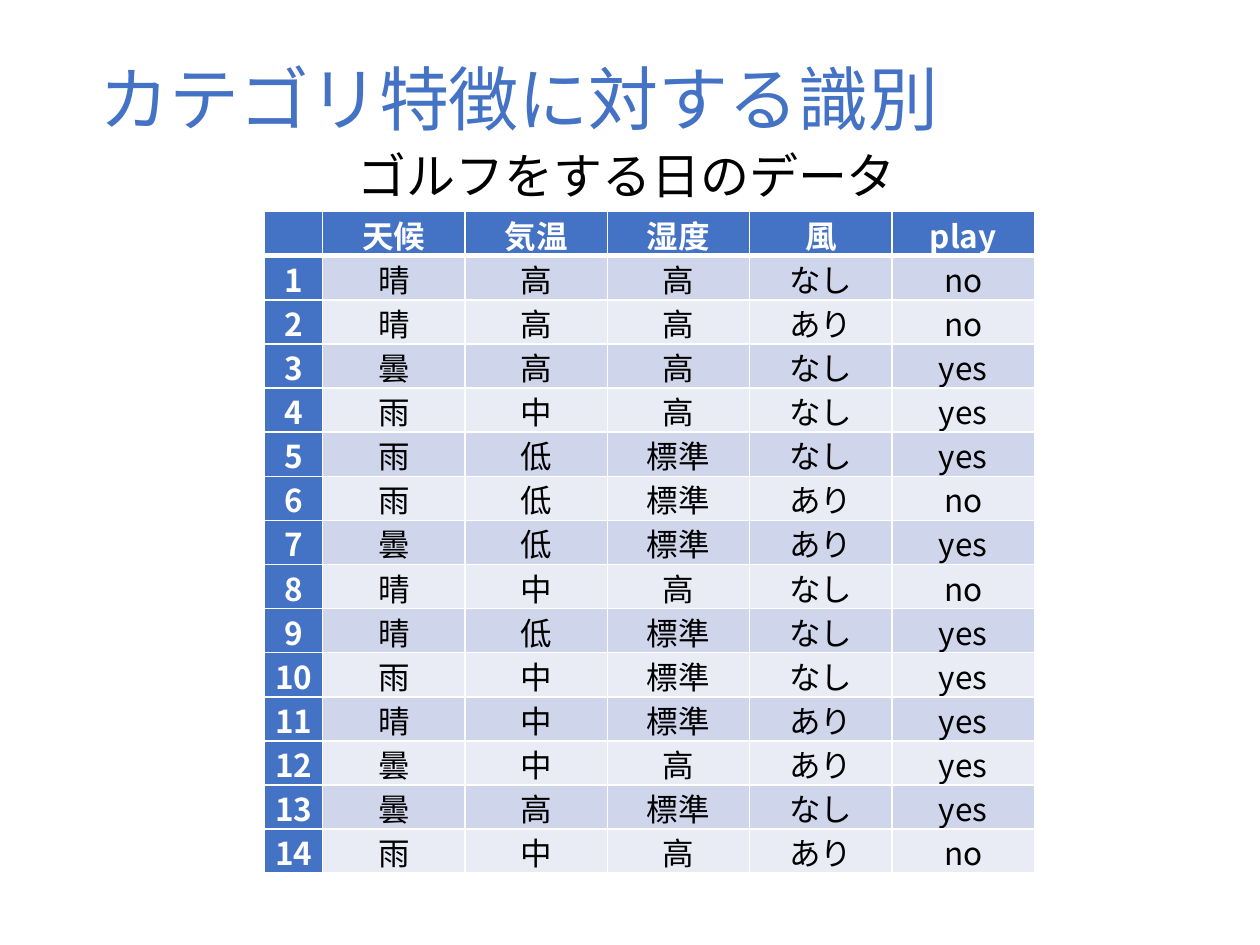
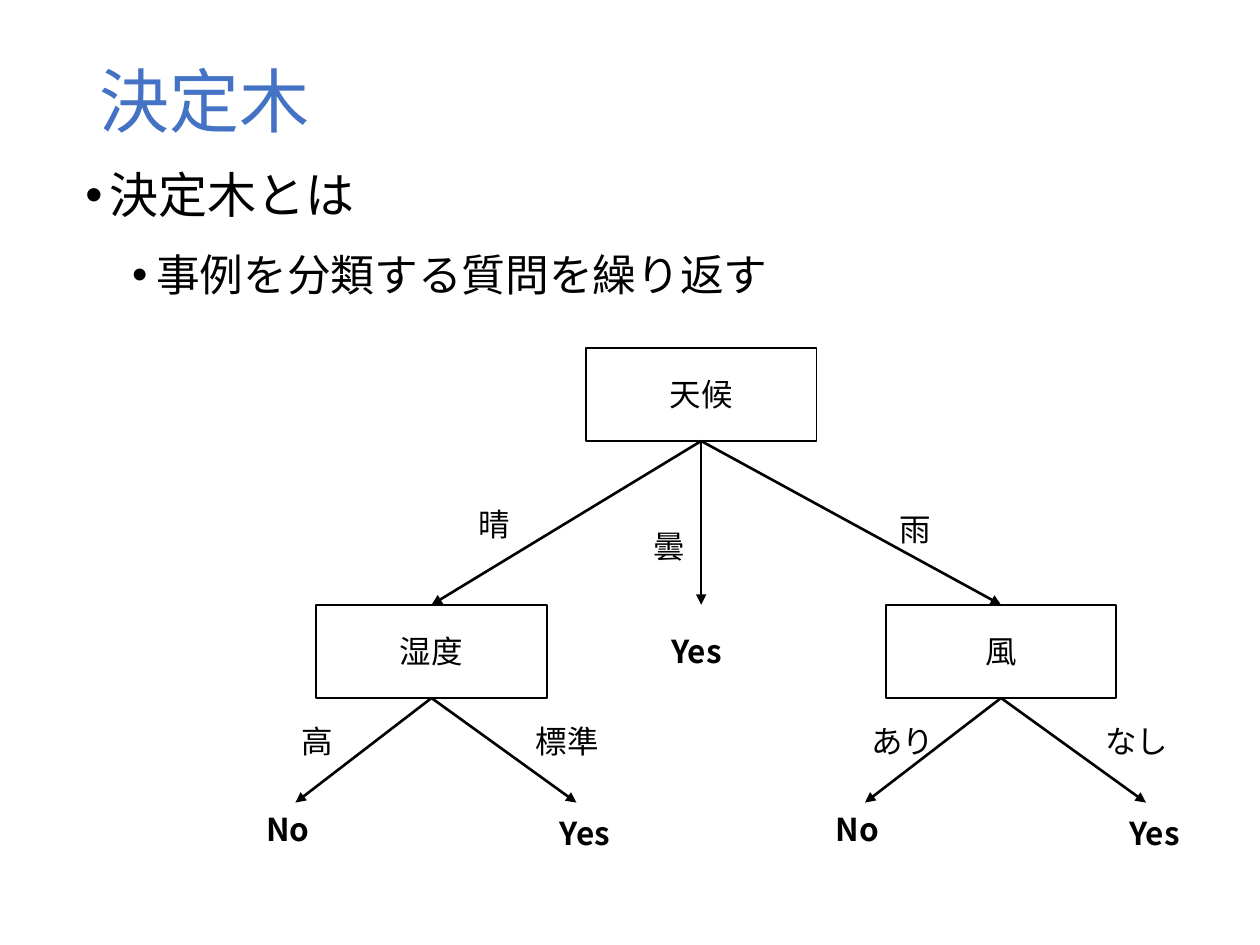
from lxml import etree
from pptx import Presentation
from pptx.dml.color import RGBColor
from pptx.enum import shapes, text
from pptx.oxml import ns
from pptx.util import Inches, Pt

FONT = "Noto Sans CJK JP"
COLORS = {
    "accent": "4472C4",
    "ink": "000000",
    "paper": "FFFFFF",
    "odd_row": "CFD5EA",
    "even_row": "E9EBF5",
}
CENTER = text.PP_ALIGN.CENTER
MIDDLE = text.MSO_ANCHOR.MIDDLE

HEADINGS = ["", "天候", "気温", "湿度", "風", "play"]
GOLF_DAYS = """
晴 高 高 なし no
晴 高 高 あり no
曇 高 高 なし yes
雨 中 高 なし yes
雨 低 標準 なし yes
雨 低 標準 あり no
曇 低 標準 あり yes
晴 中 高 なし no
晴 低 標準 なし yes
雨 中 標準 なし yes
晴 中 標準 あり yes
曇 中 高 あり yes
曇 高 標準 なし yes
雨 中 高 あり no
"""

NODE_W, NODE_H = 1.83, 0.74


def rgb(color):
    return RGBColor.from_string(COLORS[color])


def add_xml(parent, tag, **attributes):
    return etree.SubElement(parent, ns.qn(tag), attributes)


def write(paragraph, words, size=18, color="ink", bold=False, align=None,
          line_spacing=None):
    paragraph.alignment = align
    paragraph.line_spacing = line_spacing
    run = paragraph.add_run()
    run.text = words
    font = run.font
    font.name, font.size, font.bold = FONT, Pt(size), bold
    font.color.rgb = rgb(color)
    add_xml(run._r.get_or_add_rPr(), "a:ea", typeface=FONT)


def add_text_box(slide, box, anchor=text.MSO_ANCHOR.TOP, wrap=True):
    frame = slide.shapes.add_textbox(*map(Inches, box)).text_frame
    frame.word_wrap = wrap
    frame.vertical_anchor = anchor
    if not wrap:
        frame.auto_size = text.MSO_AUTO_SIZE.SHAPE_TO_FIT_TEXT
    return frame


def add_title(slide, words, height):
    frame = add_text_box(slide, (0.69, 0.4, 8.62, height), MIDDLE)
    write(frame.paragraphs[0], words, size=40, color="accent", line_spacing=0.9)


def add_label(slide, words, left, top, width, height=0.4,
              anchor=text.MSO_ANCHOR.TOP, **style):
    frame = add_text_box(slide, (left, top, width, height), anchor, wrap=False)
    write(frame.paragraphs[0], words, **style)


def set_borders(cell, **widths):
    """Draw white borders; widths in points by side (L, R, T, B), 1 by default."""
    properties = cell._tc.get_or_add_tcPr()
    for position, side in enumerate("LRTB"):
        line = etree.Element(ns.qn(f"a:ln{side}"), w=str(Pt(widths.get(side, 1))))
        add_xml(add_xml(line, "a:solidFill"), "a:srgbClr", val=COLORS["paper"])
        properties.insert(position, line)


def add_golf_table(slide, left, top):
    days = [line.split() for line in GOLF_DAYS.split("\n") if line]
    rows = [HEADINGS] + [[str(n), *day] for n, day in enumerate(days, 1)]
    widths = [0.46] + [1.13] * 5
    row_height = 0.35
    table = slide.shapes.add_table(
        len(rows), len(widths), Inches(left), Inches(top),
        Inches(sum(widths)), Inches(row_height * len(rows))).table
    for column, width in zip(table.columns, widths):
        column.width = Inches(width)
    for r, row in enumerate(rows):
        table.rows[r].height = Inches(row_height)
        for c, words in enumerate(row):
            cell = table.cell(r, c)
            heading = r == 0 or c == 0
            band = "odd_row" if r % 2 else "even_row"
            cell.margin_left = cell.margin_right = Inches(0.07)
            cell.margin_top = cell.margin_bottom = 0
            cell.fill.solid()
            cell.fill.fore_color.rgb = rgb("accent" if heading else band)
            set_borders(cell, B=3 if r == 0 else 1, T=3 if r == 1 else 1)
            if words:
                write(cell.text_frame.paragraphs[0], words, bold=heading,
                      color="paper" if heading else "ink", align=CENTER)


def add_bullets(slide, box, items):
    """Items are (words, size, indent in inches, space before in points)."""
    frame = add_text_box(slide, box)
    for level, (words, size, indent, before) in enumerate(items):
        paragraph = frame.add_paragraph() if level else frame.paragraphs[0]
        paragraph.level = level
        paragraph.space_before = Pt(before)
        write(paragraph, words, size=size, line_spacing=Pt(40))
        properties = paragraph._p.get_or_add_pPr()
        properties.set("marL", str(Inches(indent)))
        properties.set("indent", str(Inches(-0.19)))
        add_xml(properties, "a:buFont", typeface="Arial")
        add_xml(properties, "a:buChar", char="•")


def add_node(slide, words, left, top):
    node = slide.shapes.add_shape(
        shapes.MSO_SHAPE.RECTANGLE,
        *map(Inches, (left, top, NODE_W, NODE_H)))
    node.shadow.inherit = False
    node.fill.background()
    node.line.color.rgb = rgb("ink")
    node.line.width = Pt(1)
    node.text_frame.vertical_anchor = MIDDLE
    write(node.text_frame.paragraphs[0], words, align=CENTER)
    return node


def add_branch(slide, parent, child=None, end=(0, 0)):
    """Arrow from the parent's bottom to the child's top, or to a free end."""
    arrow = slide.shapes.add_connector(
        shapes.MSO_CONNECTOR.STRAIGHT, 0, 0, *map(Inches, end))
    arrow.begin_connect(parent, 2)
    if child is not None:
        arrow.end_connect(child, 0)
    arrow.line.color.rgb = rgb("ink")
    arrow.line.width = Pt(1.5)
    add_xml(arrow.line._get_or_add_ln(), "a:tailEnd", type="triangle")
    add_xml(arrow._element.spPr, "a:effectLst")


def add_subtree(slide, question, left, top, no_answer, no_width, yes_answer):
    """A question whose left answer leads to No and right answer to Yes."""
    node = add_node(slide, question, left, top)
    x, y = left + NODE_W / 2, top + NODE_H
    for dx in (-1.08, 1.15):
        add_branch(slide, node, end=(x + dx, y + 0.83))
    add_label(slide, no_answer, x - 1.13, y + 0.14, no_width)
    add_label(slide, yes_answer, x + 0.73, y + 0.14, 0.71)
    add_label(slide, "No", x - 1.41, y + 0.84, 0.55, bold=True)
    add_label(slide, "Yes", x + 0.92, y + 0.87, 0.66, bold=True)
    return node


def add_decision_tree(slide, left, top):
    child_top = top + 2.04
    weather = add_node(slide, "天候", left + 2.14, top)
    humidity = add_subtree(slide, "湿度", left, child_top, "高", 0.45, "標準")
    wind = add_subtree(slide, "風", left + 4.52, child_top, "あり", 0.71, "なし")
    for child in (humidity, wind):
        add_branch(slide, weather, child)
    add_branch(slide, weather, end=(left + 2.14 + NODE_W / 2, child_top))
    for words, dx, dy in (("晴", 1.19, 1.2), ("曇", 2.58, 1.37), ("雨", 4.53, 1.24)):
        add_label(slide, words, left + dx, top + dy, 0.45)
    add_label(slide, "Yes", left + 2.72, top + 2.21, 0.66, bold=True)


def build_data_slide(slide):
    add_title(slide, "カテゴリ特徴に対する識別", 0.84)
    add_golf_table(slide, 2.1, 1.68)
    add_label(slide, "ゴルフをする日のデータ", 2.74, 1.1, 4.52, 0.57, MIDDLE, size=28)


def build_tree_slide(slide):
    add_title(slide, "決定木", 0.87)
    add_bullets(slide, (0.58, 1.17, 8.85, 5.06), [
        ("決定木とは", 28, 0.19, 7.5),
        ("事例を分類する質問を繰り返す", 25, 0.56, 3.8),
    ])
    add_decision_tree(slide, 2.51, 2.76)


def main():
    deck = Presentation()
    deck.slide_width, deck.slide_height = Inches(10), Inches(7.5)
    for build in (build_data_slide, build_tree_slide):
        build(deck.slides.add_slide(deck.slide_layouts[6]))
    deck.save("out.pptx")


if __name__ == "__main__":
    main()
